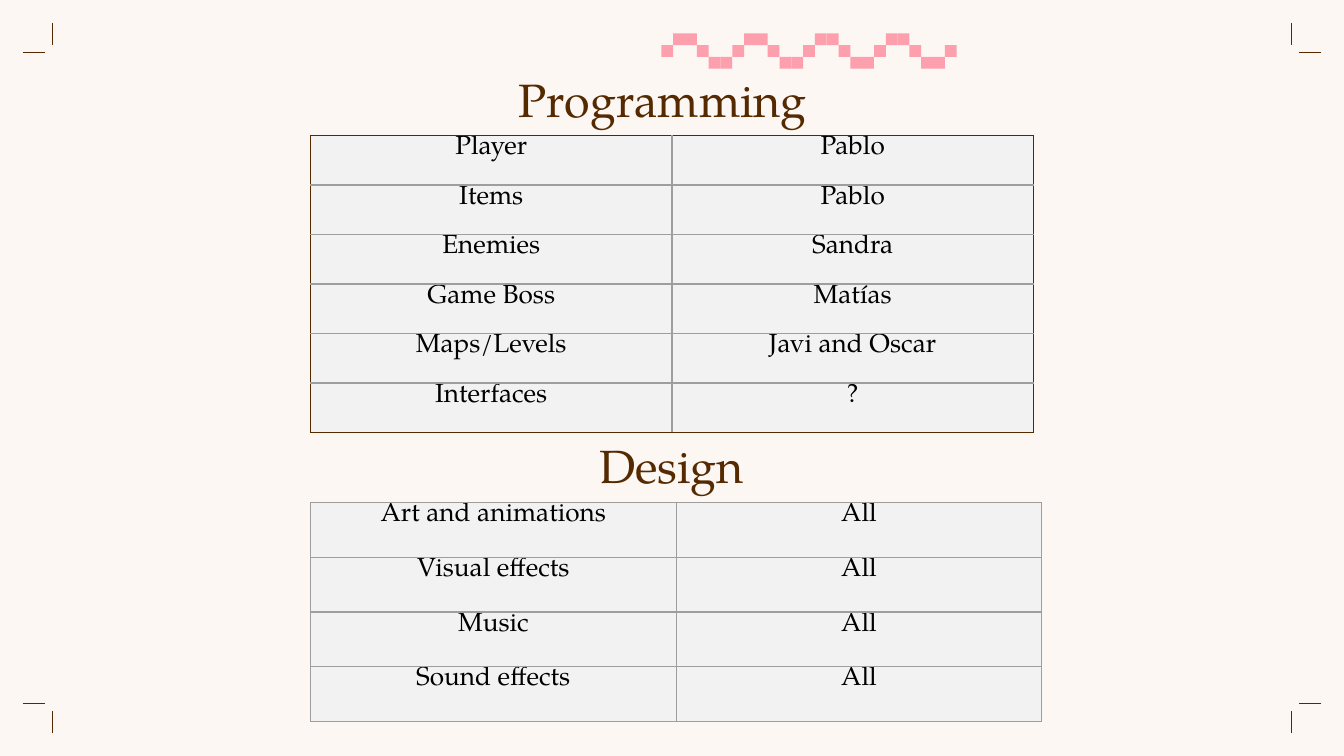
from lxml.etree import SubElement
from pptx import Presentation
from pptx.dml.color import RGBColor
from pptx.enum.shapes import MSO_CONNECTOR, MSO_SHAPE
from pptx.enum.text import MSO_ANCHOR, MSO_AUTO_SIZE, PP_ALIGN
from pptx.oxml.ns import qn
from pptx.util import Cm, Pt

FONT = "TeX Gyre Pagella"
CREAM, BROWN, PINK = "FCF7F3", "552A01", "FE9FAD"
GREY, PALE, BLACK = "9E9E9E", "F2F2F2", "000000"
PAGE_WIDTH, PAGE_HEIGHT = 25.4, 14.29

PROGRAMMING = [
    ("Player", "Pablo"),
    ("Items", "Pablo"),
    ("Enemies", "Sandra"),
    ("Game Boss", "Matías"),
    ("Maps/Levels", "Javi and Oscar"),
    ("Interfaces", "?"),
]
DESIGN = [(task, "All") for task in
          ("Art and animations", "Visual effects", "Music", "Sound effects")]


def paint(color_format, color):
    color_format.rgb = RGBColor.from_string(color)


def fill_solid(fill, color):
    fill.solid()
    paint(fill.fore_color, color)


def write(frame, text, size, color):
    frame.text = text
    para = frame.paragraphs[0]
    para.alignment = PP_ALIGN.CENTER
    para.font.name = FONT
    para.font.size = Pt(size)
    paint(para.font.color, color)


def add_wave(page, box):
    left, top, width, height = box
    count, levels = 25, (1, 0, 0, 1, 2, 2)
    step_x, step_y = width / count, height / 3
    for index in range(count):
        level = levels[index % len(levels)]
        pixel = page.shapes.add_shape(
            MSO_SHAPE.RECTANGLE, Cm(left + index * step_x),
            Cm(top + level * step_y), Cm(step_x), Cm(step_y))
        pixel.shadow.inherit = False
        fill_solid(pixel.fill, PINK)
        pixel.line.fill.background()


def add_mark(page, start, end):
    mark = page.shapes.add_connector(
        MSO_CONNECTOR.STRAIGHT, *(Cm(value) for value in start + end))
    paint(mark.line.color, BROWN)
    mark.line.width = Pt(0.75)
    SubElement(mark._element.spPr, qn("a:effectLst"))


def add_corner_marks(page, box):
    left, top, width, height = box
    length, inset = 0.42, 0.56
    for x, toward_x in ((left, 1), (left + width, -1)):
        for y, toward_y in ((top, 1), (top + height, -1)):
            line_x, line_y = x + toward_x * inset, y + toward_y * inset
            add_mark(page, (x, line_y), (x + toward_x * length, line_y))
            add_mark(page, (line_x, y), (line_x, y + toward_y * length))


def place_heading(shape, box, text):
    shape.left, shape.top, shape.width, shape.height = map(Cm, box)
    frame = shape.text_frame
    frame.word_wrap = True
    frame.auto_size = MSO_AUTO_SIZE.NONE
    frame.vertical_anchor = MSO_ANCHOR.BOTTOM
    frame.margin_left = frame.margin_right = Cm(0.25)
    frame.margin_top = frame.margin_bottom = Cm(0.25)
    write(frame, text, 25, BROWN)


def add_border(cell, side, color, width):
    line = SubElement(cell._tc.get_or_add_tcPr(), qn(f"a:ln{side}"), w=str(Pt(width)))
    solid = SubElement(line, qn("a:solidFill"))
    SubElement(solid, qn("a:srgbClr"), val=color)


def add_task_table(page, box, rows, outer):
    row_count, column_count = len(rows), len(rows[0])
    table = page.shapes.add_table(row_count, column_count, *map(Cm, box)).table
    table.first_row = False
    table.horz_banding = False
    for row_index, row in enumerate(rows):
        for column_index, text in enumerate(row):
            cell = table.cell(row_index, column_index)
            edges = {
                "L": column_index == 0,
                "R": column_index == column_count - 1,
                "T": row_index == 0,
                "B": row_index == row_count - 1,
            }
            for side, is_outer in edges.items():
                add_border(cell, side, *(outer if is_outer else (GREY, 0.75)))
            fill_solid(cell.fill, PALE)
            cell.margin_top = cell.margin_bottom = 0
            cell.margin_left = cell.margin_right = Cm(0.19)
            cell.vertical_anchor = MSO_ANCHOR.TOP
            write(cell.text_frame, text, 14, BLACK)


def build_task_page(deck):
    page = deck.slides.add_slide(deck.slide_layouts[5])
    fill_solid(page.background.fill, CREAM)
    margin = 0.43
    add_wave(page, (12.5, 0.63, 5.58, 0.67))
    add_corner_marks(page, (margin, margin, PAGE_WIDTH - 2 * margin, PAGE_HEIGHT - 2 * margin))
    add_task_table(page, (5.87, 2.56, 13.66, 5.62), PROGRAMMING, (BROWN, 1))
    place_heading(page.shapes.title, (9.42, 1.27, 6.2, 1.37), "Programming")
    design_box = (11.02, 8.43, 3.35, 1.14)
    place_heading(page.shapes.add_textbox(*map(Cm, design_box)), design_box, "Design")
    add_task_table(page, (5.87, 9.5, 13.82, 4.14), DESIGN, (GREY, 0.75))


def main():
    deck = Presentation()
    deck.slide_width, deck.slide_height = Cm(PAGE_WIDTH), Cm(PAGE_HEIGHT)
    build_task_page(deck)
    deck.save("out.pptx")


if __name__ == "__main__":
    main()
